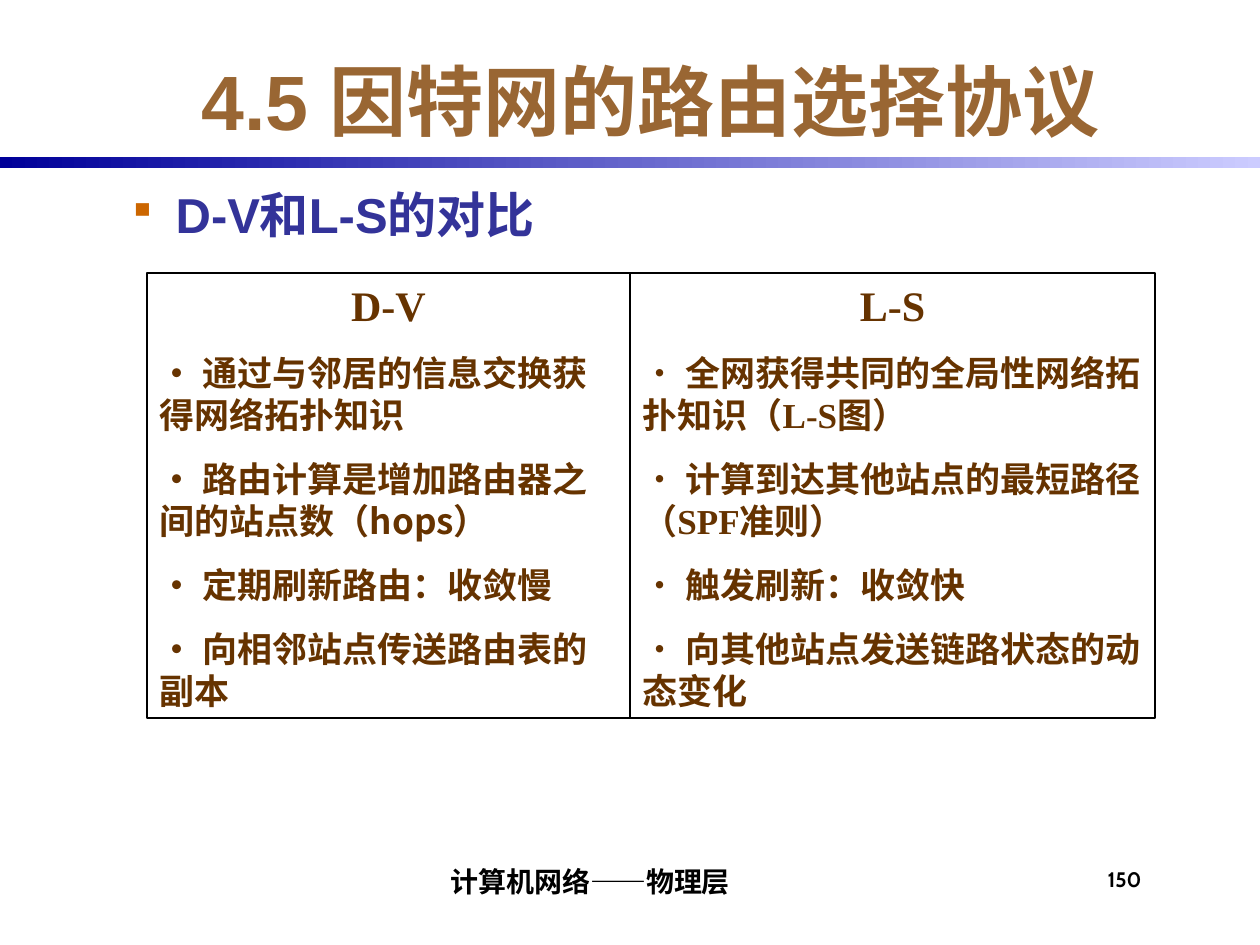
from pptx import Presentation, util as u
from pptx.dml.color import RGBColor
from pptx.enum import shapes, text
from pptx.oxml.ns import qn
from lxml import etree

W, H = 10, 7.5
COL, ROW = W / 120, H / 90  # grid of 120 columns by 90 rows
NAVY, LILAC = RGBColor(0, 0, 0x99), RGBColor(0xCC, 0xCC, 0xFF)
TAN, BROWN = RGBColor(0x99, 0x66, 0x33), RGBColor(0x66, 0x33, 0)
INDIGO, BLACK = RGBColor(0x33, 0x33, 0x99), RGBColor(0, 0, 0)
SERIF, CJK = "Times New Roman", "Noto Sans CJK SC"
MARGINS = (0.1, 0.05, 0.1, 0.05)

DV_POINTS = [
    "通过与邻居的信息交换获得网络拓扑知识",
    "路由计算是增加路由器之间的站点数（hops）",
    "定期刷新路由：收敛慢",
    "向相邻站点传送路由表的副本",
]
# Latin terms stand alone so that they can take the serif face
LS_POINTS = [
    ["全网获得共同的全局性网络拓扑知识（", "L-S", "图）"],
    ["计算到达其他站点的最短路径（", "SPF", "准则）"],
    ["触发刷新：收敛快"],
    ["向其他站点发送链路状态的动态变化"],
]


def grid(col, row, cols, rows):
    return [u.Inches(n) for n in (col * COL, row * ROW, cols * COL, rows * ROW)]


def set_frame(sp, margins=MARGINS, anchor=text.MSO_ANCHOR.TOP):
    tf = sp.text_frame
    tf.word_wrap = True
    tf.auto_size = text.MSO_AUTO_SIZE.NONE
    tf.vertical_anchor = anchor
    (tf.margin_left, tf.margin_top,
     tf.margin_right, tf.margin_bottom) = [u.Inches(m) for m in margins]
    return tf


def add_text_box(s, box, **frame):
    return set_frame(s.shapes.add_textbox(*box), **frame)


def add_rect(s, box):
    sp = s.shapes.add_shape(shapes.MSO_SHAPE.RECTANGLE, *box)
    sp.shadow.inherit = False
    return sp


def add_run(p, words, size, color, font, bold=True):
    r = p.add_run()
    r.text = words
    f = r.font
    f.size, f.bold, f.name = u.Pt(size), bold, font
    f.color.rgb = color
    etree.SubElement(f._element, qn("a:ea"), typeface=CJK)


def write(p, words, *, size, color, font, align=text.PP_ALIGN.LEFT):
    p.alignment = align
    add_run(p, words, size, color, font)


def add_square_bullet(p):
    pPr = p._p.get_or_add_pPr()
    pPr.set("marL", str(u.Inches(0.38)))
    pPr.set("indent", str(-u.Inches(0.38)))
    color = etree.SubElement(pPr, qn("a:buClr"))
    etree.SubElement(color, qn("a:srgbClr"), val="CC6600")
    etree.SubElement(pPr, qn("a:buSzPct"), val="80000")
    etree.SubElement(pPr, qn("a:buChar"), char="▪")


def add_rule(s):
    sp = add_rect(s, grid(0, 15, 120, 1))
    sp.line.fill.background()
    sp.fill.gradient()
    sp.fill.gradient_angle = 0
    for stop, color, at in zip(sp.fill.gradient_stops, (NAVY, LILAC), (0, 1)):
        stop.color.rgb, stop.position = color, at


def add_panel(s, box, heading, points):
    """Outlined column; each point is a list of (words, font, bold) runs."""
    sp = add_rect(s, box)
    sp.fill.background()
    sp.line.color.rgb, sp.line.width = BLACK, u.Pt(1)
    tf = set_frame(sp)
    write(tf.paragraphs[0], heading, size=24, color=BROWN, font=SERIF,
          align=text.PP_ALIGN.CENTER)
    for point in points:
        p = tf.add_paragraph()
        p.alignment, p.space_before = text.PP_ALIGN.LEFT, u.Pt(12.5)
        for words, font, bold in point:
            add_run(p, words, 20, BROWN, font, bold)


def main():
    prs = Presentation()
    prs.slide_width, prs.slide_height = u.Inches(W), u.Inches(H)
    s = prs.slides.add_slide(prs.slide_layouts[6])
    center = text.PP_ALIGN.CENTER

    add_rule(s)
    tf = add_text_box(s, grid(105, 82, 7, 5), margins=(0.04, 0.04, 0, 0))
    write(tf.paragraphs[0], "150", size=12, color=BLACK, font="Cabin")

    tf = add_text_box(s, grid(11, 4, 102, 11), anchor=text.MSO_ANCHOR.MIDDLE)
    write(tf.paragraphs[0], "4.5 因特网的路由选择协议", size=44, color=TAN,
          font="Arial", align=center)

    tf = add_text_box(s, grid(11, 17, 102, 60))
    add_square_bullet(tf.paragraphs[0])
    write(tf.paragraphs[0], "D-V和L-S的对比", size=28, color=INDIGO, font="Arial")

    add_panel(s, grid(14, 26, 46, 42.4), "D-V",
              [[("• " + words, CJK, True)] for words in DV_POINTS])
    add_panel(s, grid(60, 26, 50, 42.4), "L-S",
              [[("• ", SERIF, False)]
               + [(words, SERIF if words.isascii() else CJK, True) for words in point]
               for point in LS_POINTS])

    tf = add_text_box(s, grid(25, 81, 62, 5), margins=(0.04, 0, 0, 0.04),
                      anchor=text.MSO_ANCHOR.BOTTOM)
    write(tf.paragraphs[0], "计算机网络——物理层", size=16, color=BLACK,
          font="Cabin", align=center)
    prs.save("out.pptx")


if __name__ == "__main__":
    main()
